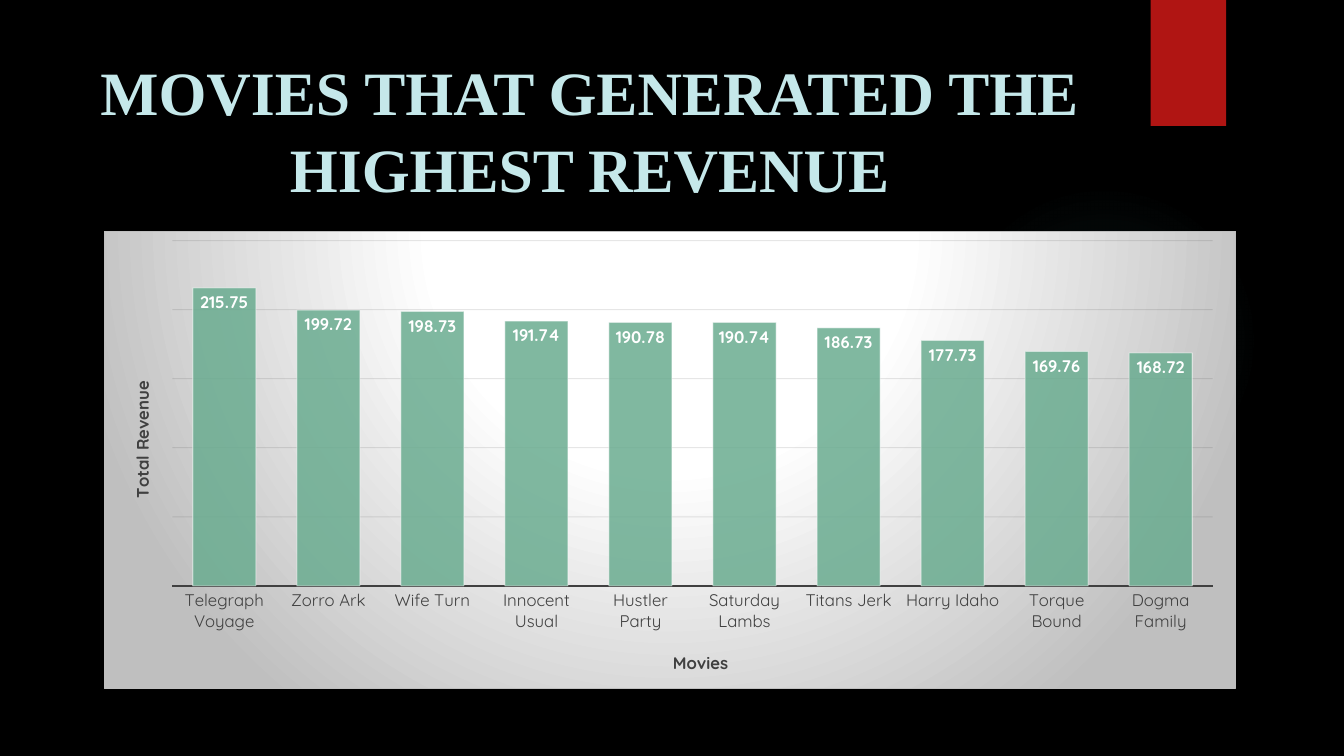
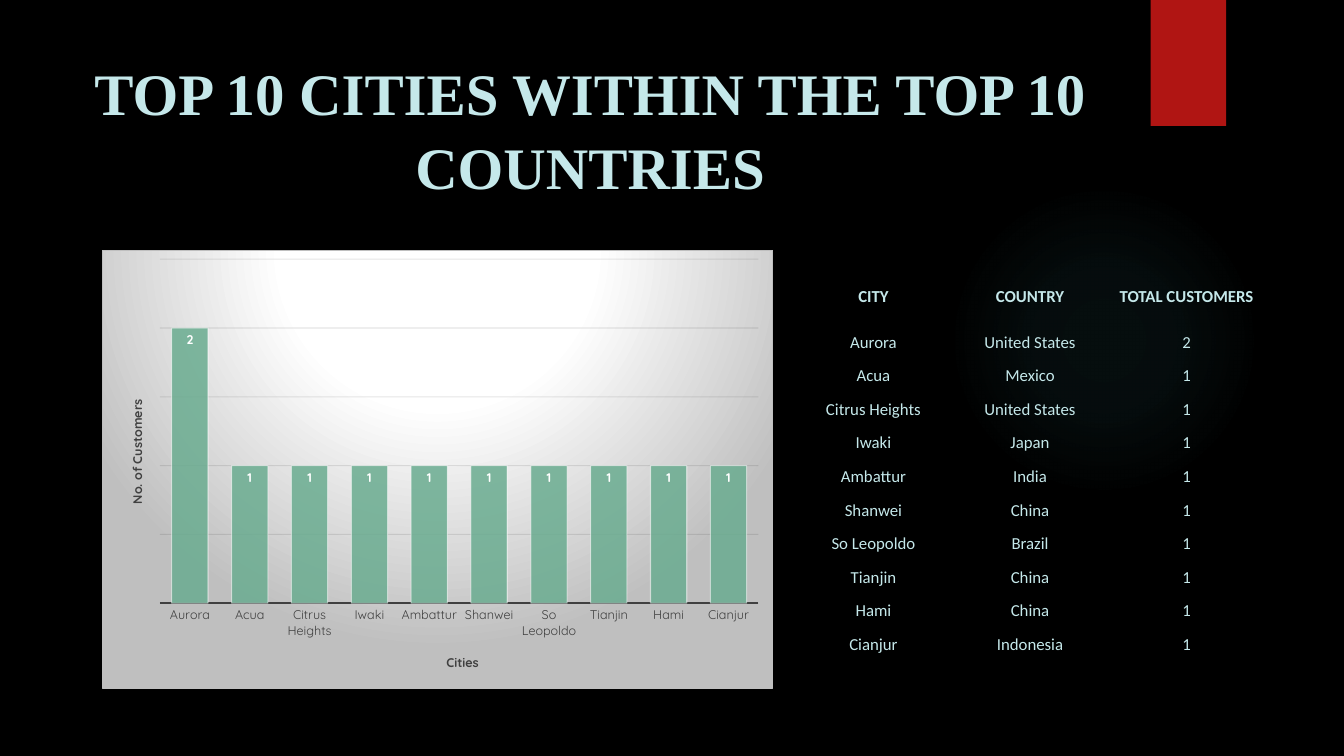
from lxml import etree
from pptx import Presentation
from pptx.chart.data import CategoryChartData
from pptx.dml.color import RGBColor
from pptx.enum.chart import XL_CHART_TYPE, XL_LABEL_POSITION, XL_TICK_MARK
from pptx.enum.shapes import MSO_SHAPE
from pptx.enum.text import MSO_ANCHOR, MSO_AUTO_SIZE, PP_ALIGN
from pptx.oxml import parse_xml
from pptx.oxml.ns import nsdecls, qn
from pptx.util import Pt

COLUMN = XL_CHART_TYPE.COLUMN_CLUSTERED
INSIDE_END = XL_LABEL_POSITION.INSIDE_END
NO_TICK = XL_TICK_MARK.NONE
RECTANGLE, OVAL = MSO_SHAPE.RECTANGLE, MSO_SHAPE.OVAL
MIDDLE, BOTTOM = MSO_ANCHOR.MIDDLE, MSO_ANCHOR.BOTTOM
NO_AUTOFIT = MSO_AUTO_SIZE.NONE
CENTER = PP_ALIGN.CENTER

BLACK, WHITE, RED = "000000", "FFFFFF", "B01513"
ICE, TEAL, GREEN = "C5E8EA", "50B9C1", "6AAC90"
DARK_GRAY, SILVER, GRID = "404040", "BFBFBF", "0D0D0D"
TITLE_FONT, CHART_FONT, TABLE_FONT = "Times New Roman", "Quicksand", "Calibri"
PLAIN_TABLE_STYLE = "{2D5ABB26-0587-4C30-8999-92F81FD0307C}"

MOVIES = [
    ("Telegraph Voyage", 215.75),
    ("Zorro Ark", 199.72),
    ("Wife Turn", 198.73),
    ("Innocent Usual", 191.74),
    ("Hustler Party", 190.78),
    ("Saturday Lambs", 190.74),
    ("Titans Jerk", 186.73),
    ("Harry Idaho", 177.73),
    ("Torque Bound", 169.76),
    ("Dogma Family", 168.72),
]
CITIES = [
    ("Aurora", "United States", 2),
    ("Acua", "Mexico", 1),
    ("Citrus Heights", "United States", 1),
    ("Iwaki", "Japan", 1),
    ("Ambattur", "India", 1),
    ("Shanwei", "China", 1),
    ("So Leopoldo", "Brazil", 1),
    ("Tianjin", "China", 1),
    ("Hami", "China", 1),
    ("Cianjur", "Indonesia", 1),
]


def rgb(value):
    """Turn a hex string into a colour."""
    return RGBColor.from_string(value)


def box(left, top, width, height):
    """Convert a frame given in points to lengths."""
    return Pt(left), Pt(top), Pt(width), Pt(height)


def set_font(font, name, size, color, bold=False):
    """Format a font."""
    font.name, font.size, font.bold = name, Pt(size), bold
    font.color.rgb = rgb(color)


def write_text(text_frame, text, name, size, color, bold=False, align=None, spacing=None):
    """Write one formatted paragraph."""
    paragraph = text_frame.paragraphs[0]
    paragraph.alignment, paragraph.line_spacing = align, spacing
    run = paragraph.add_run()
    run.text = text
    set_font(run.font, name, size, color, bold)


def circular_gradient(stops, top=50, bottom=50):
    """Build a circular gradient from (position, colour, opacity) stops."""
    stop_xml = "".join(
        f'<a:gs pos="{position * 1000}"><a:srgbClr val="{color}">'
        f'<a:alpha val="{opacity * 1000}"/></a:srgbClr></a:gs>'
        for position, color, opacity in stops
    )
    return parse_xml(
        f'<a:gradFill {nsdecls("a")} rotWithShape="1"><a:gsLst>{stop_xml}</a:gsLst>'
        f'<a:path path="circle"><a:fillToRect l="50000" t="{top * 1000}" '
        f'r="50000" b="{bottom * 1000}"/></a:path></a:gradFill>'
    )


def set_opacity(element, query, percent):
    """Make the colours found by a query partly transparent."""
    for color in element.xpath(query):
        etree.SubElement(color, qn("a:alpha")).set("val", str(percent * 1000))


def place_in_chart(parent, index, **fractions):
    """Give a chart part a fixed place in fractions of the chart."""
    for old_layout in parent.findall(qn("c:layout")):
        parent.remove(old_layout)
    layout = etree.Element(qn("c:layout"))
    manual = etree.SubElement(layout, qn("c:manualLayout"))
    settings = {"xMode": "edge", "yMode": "edge", **fractions}
    if "w" in fractions:
        settings = {"layoutTarget": "inner", **settings}
    for name, value in settings.items():
        etree.SubElement(manual, qn(f"c:{name}")).set("val", str(value))
    parent.insert(index, layout)


def add_decoration(slide, kind, frame, fill):
    """Draw an unlined shape and move it to the back of the slide's layout."""
    shape = slide.shapes.add_shape(kind, *box(*frame))
    shape.shadow.inherit = False
    shape.line.fill.background()
    if isinstance(fill, str):
        shape.fill.solid()
        shape.fill.fore_color.rgb = rgb(fill)
    else:
        shape.fill.background()
        properties = shape.element.spPr
        properties.replace(properties.find(qn("a:noFill")), fill)
    slide.slide_layout.shapes.element.insert(2, shape.element)


def style_layout(layout):
    """Set the background and the title box that all slides share."""
    layout.background.fill.solid()
    layout.background.fill.fore_color.rgb = rgb(BLACK)
    title = layout.placeholders[0]
    title.left, title.top, title.width, title.height = box(51, 36, 741, 110)
    title.text_frame.word_wrap = True
    title.text_frame.auto_size = NO_AUTOFIT
    title.text_frame.vertical_anchor = MIDDLE


def add_titled_slide(presentation, layout, title, size):
    """Add a slide with its title."""
    slide = presentation.slides.add_slide(layout)
    write_text(slide.shapes.title.text_frame, title, name=TITLE_FONT, size=size,
               color=ICE, bold=True, align=CENTER, spacing=1.05)
    return slide


def add_axis_title(axis, text, size, position):
    """Add a bold axis title at a fixed place."""
    axis_title = axis.axis_title
    write_text(axis_title.text_frame, text, name=CHART_FONT, size=size,
               color=DARK_GRAY, bold=True)
    place_in_chart(axis_title.element, 1, x=position[0], y=position[1])
    return axis_title


def style_chart_area(chart):
    """Give the chart its gradient panel and thin border."""
    area = parse_xml(
        f'<c:spPr {nsdecls("c", "a")}><a:ln w="9525"><a:solidFill>'
        f'<a:srgbClr val="{SILVER}"/></a:solidFill></a:ln></c:spPr>'
    )
    stops = [(0, WHITE, 100), (39, WHITE, 100), (100, SILVER, 100)]
    area.insert(0, circular_gradient(stops, top=-80, bottom=180))
    chart.element.find(qn("c:chart")).addnext(area)


def style_series(chart, size):
    """Format the columns and their value labels."""
    plot = chart.plots[0]
    plot.gap_width, plot.vary_by_categories = 65, False
    series = plot.series[0]
    series.format.fill.solid()
    series.format.fill.fore_color.rgb = rgb(GREEN)
    series.format.line.color.rgb = rgb(WHITE)
    series.format.line.width = Pt(0.75)
    set_opacity(chart.element, ".//c:ser/c:spPr/a:solidFill/a:srgbClr", 85)
    set_opacity(chart.element, ".//c:ser/c:spPr/a:ln//a:srgbClr", 50)
    labels = series.data_labels
    labels.show_value, labels.position = True, INSIDE_END
    set_font(labels.font, CHART_FONT, size, WHITE, bold=True)


def style_axes(chart, size, maximum, step):
    """Format the category line, the hidden value axis and the grid."""
    category_axis, value_axis = chart.category_axis, chart.value_axis
    category_axis.major_tick_mark = NO_TICK
    category_axis.format.line.color.rgb = rgb(DARK_GRAY)
    category_axis.format.line.width = Pt(1.5)
    set_font(category_axis.tick_labels.font, CHART_FONT, size, DARK_GRAY)
    value_axis.visible = False
    value_axis.minimum_scale, value_axis.maximum_scale = 0, maximum
    value_axis.major_unit = step
    grid_line = value_axis.major_gridlines.format.line
    grid_line.color.rgb = rgb(GRID)
    grid_line.width = Pt(0.75)
    set_opacity(chart.element, ".//c:majorGridlines//a:srgbClr", 10)


def add_column_chart(slide, frame, data, size, scale, plot_area, category_title, value_title):
    """Add a column chart of (category, value) pairs on a gradient panel."""
    categories, values = zip(*data)
    chart_data = CategoryChartData()
    chart_data.categories = categories
    chart_data.add_series("Series 1", values)
    chart = slide.shapes.add_chart(COLUMN, *box(*frame), chart_data).chart
    chart.has_legend = chart.has_title = False
    set_font(chart.font, CHART_FONT, 10, WHITE)
    style_chart_area(chart)
    style_series(chart, size)
    style_axes(chart, size, *scale)
    place_in_chart(chart.element.find(".//" + qn("c:plotArea")), 0, **plot_area)
    add_axis_title(chart.category_axis, category_title[0], size, category_title[1])
    vertical = add_axis_title(chart.value_axis, value_title[0], size, value_title[1])
    body = vertical.element.find(".//" + qn("a:bodyPr"))
    body.set("rot", "-5400000")
    body.set("vert", "horz")


def add_plain_table(slide, frame, rows, row_heights):
    """Add an unfilled, centred table whose first row is bold."""
    graphic_frame = slide.shapes.add_table(len(rows), len(rows[0]), *box(*frame))
    table = graphic_frame.table
    table.first_row = table.horz_banding = False
    graphic_frame.element.find(".//" + qn("a:tableStyleId")).text = PLAIN_TABLE_STYLE
    for row_index, (values, height) in enumerate(zip(rows, row_heights)):
        table.rows[row_index].height = Pt(height)
        for cell, value in zip(table.rows[row_index].cells, values):
            cell.fill.background()
            cell.vertical_anchor = BOTTOM
            cell.margin_left = cell.margin_right = cell.margin_top = Pt(0.7)
            cell.margin_bottom = 0
            write_text(cell.text_frame, str(value), name=TABLE_FONT, size=12,
                       color=ICE, bold=row_index == 0, align=CENTER)


def main():
    """Build and save the presentation."""
    presentation = Presentation()
    presentation.slide_width, presentation.slide_height = Pt(960), Pt(540)
    layout = presentation.slide_layouts[5]
    style_layout(layout)

    slide = add_titled_slide(presentation, layout,
                             "MOVIES THAT GENERATED THE HIGHEST REVENUE", 44)
    add_decoration(slide, RECTANGLE, (821.9, 0, 54, 90), RED)
    glow = circular_gradient([(0, TEAL, 7), (36, TEAL, 6), (69, TEAL, 0)])
    add_decoration(slide, OVAL, (677.5, 131.8, 222, 222), glow)
    add_column_chart(
        slide, (74.2, 165, 808.6, 327.4), MOVIES, size=12, scale=(250, 50),
        plot_area={"x": 0.06, "y": 0.02, "w": 0.92, "h": 0.755},
        category_title=("Movies", (0.5, 0.91)),
        value_title=("Total Revenue", (0.02, 0.32)),
    )

    slide = add_titled_slide(presentation, layout,
                             "TOP 10 CITIES WITHIN THE TOP 10 COUNTRIES", 42)
    add_column_chart(
        slide, (72.7, 178.6, 479.5, 313.4), [(city, total) for city, _, total in CITIES],
        size=9, scale=(2.5, 0.5),
        plot_area={"x": 0.086, "y": 0.02, "w": 0.893, "h": 0.786},
        category_title=("Cities", (0.51, 0.915)),
        value_title=("No. of Customers", (0.035, 0.335)),
    )
    add_plain_table(
        slide, (568, 191.5, 335.5, 276.5),
        [("CITY", "COUNTRY", "TOTAL CUSTOMERS"), *CITIES],
        [27.5, 33] + [24] * (len(CITIES) - 1),
    )
    presentation.save("out.pptx")


if __name__ == "__main__":
    main()
